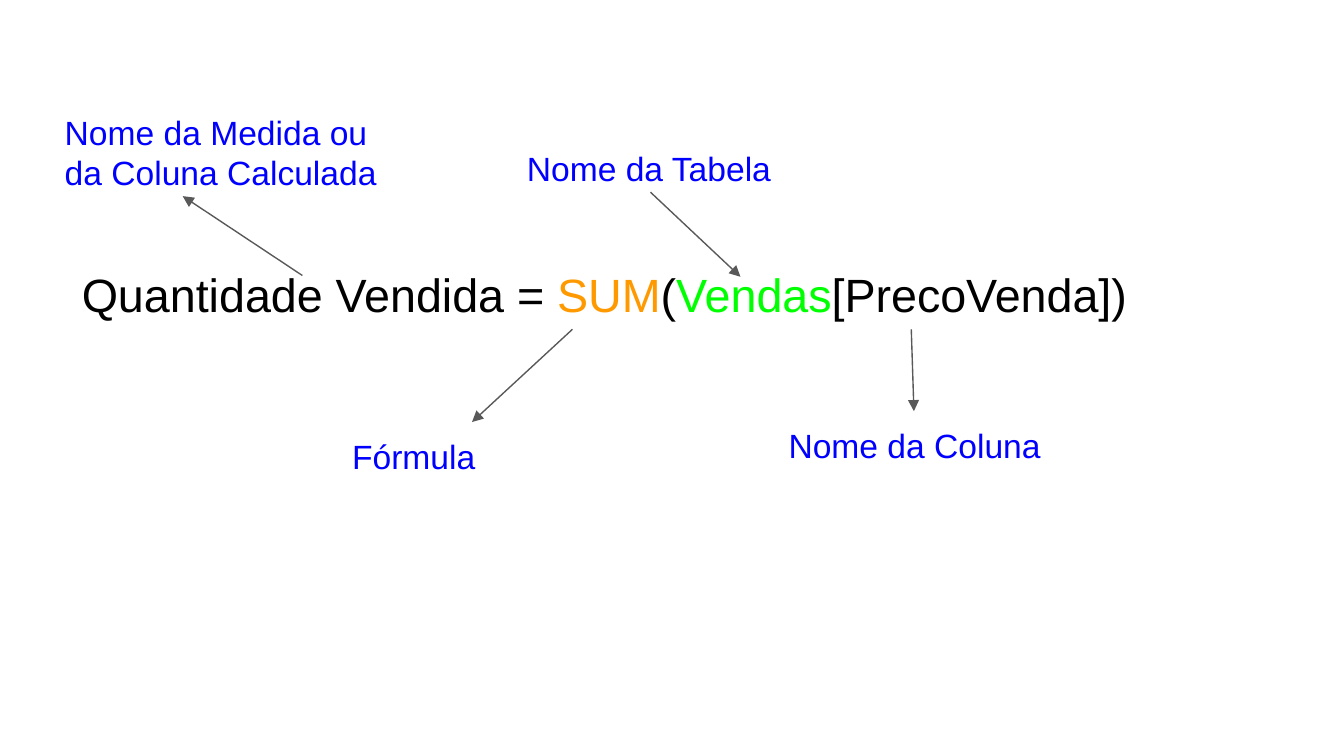
from lxml.etree import SubElement
from pptx import Presentation
from pptx.dml.color import RGBColor
from pptx.enum.shapes import MSO_CONNECTOR
from pptx.oxml.ns import qn
from pptx.util import Pt


def rgb(color):
    return RGBColor.from_string(color)


def add_text(s, box, size, parts):
    """Add a wrapped text box whose single paragraph holds (text, colour) parts."""
    tf = s.shapes.add_textbox(*map(Pt, box)).text_frame
    tf.word_wrap = True
    tf.margin_left = tf.margin_top = tf.margin_right = tf.margin_bottom = Pt(7.2)
    p = tf.paragraphs[0]
    for text, color in parts:
        r = p.add_run()
        r.text = text
        r.font.name = "Arial"
        r.font.size = Pt(size)
        r.font.color.rgb = rgb(color)


prs = Presentation()
prs.slide_width, prs.slide_height = Pt(720), Pt(405)
s = prs.slides.add_slide(prs.slide_layouts[6])

formula = [
    ("Quantidade Vendida = ", "000000"),
    ("SUM", "FF9900"),
    ("(", "000000"),
    ("Vendas", "00FF00"),
    ("[PrecoVenda])", "000000"),
]
add_text(s, (36.7, 135.4, 634.3, 44.6), 25, formula)

# label, box (left, top, width, height), arrow (from x, y, to x, y)
labels = [
    ("Nome da Tabela", (275.2, 72, 160.6, 36), (348.5, 103, 396.7, 148.3)),
    ("Fórmula", (181.6, 226.3, 166.3, 36), (306.7, 176.4, 252.9, 226.1)),
    ("Nome da Coluna", (415.4, 220.3, 190.1, 36), (488.2, 176.4, 489.6, 220.3)),
    ("Nome da Medida ou da Coluna Calculada", (27.6, 52.6, 196.6, 58.3),
     (162, 147.6, 97.9, 105.1)),
]
for text, box, ends in labels:
    add_text(s, box, 18, [(text, "0000FF")])
    arrow = s.shapes.add_connector(MSO_CONNECTOR.STRAIGHT, *map(Pt, ends))
    arrow.line.color.rgb = rgb("595959")
    arrow.line.width = Pt(0.75)
    SubElement(arrow.line._get_or_add_ln(), qn("a:tailEnd"), type="triangle")
    SubElement(arrow._element.spPr, qn("a:effectLst"))

prs.save("out.pptx")
